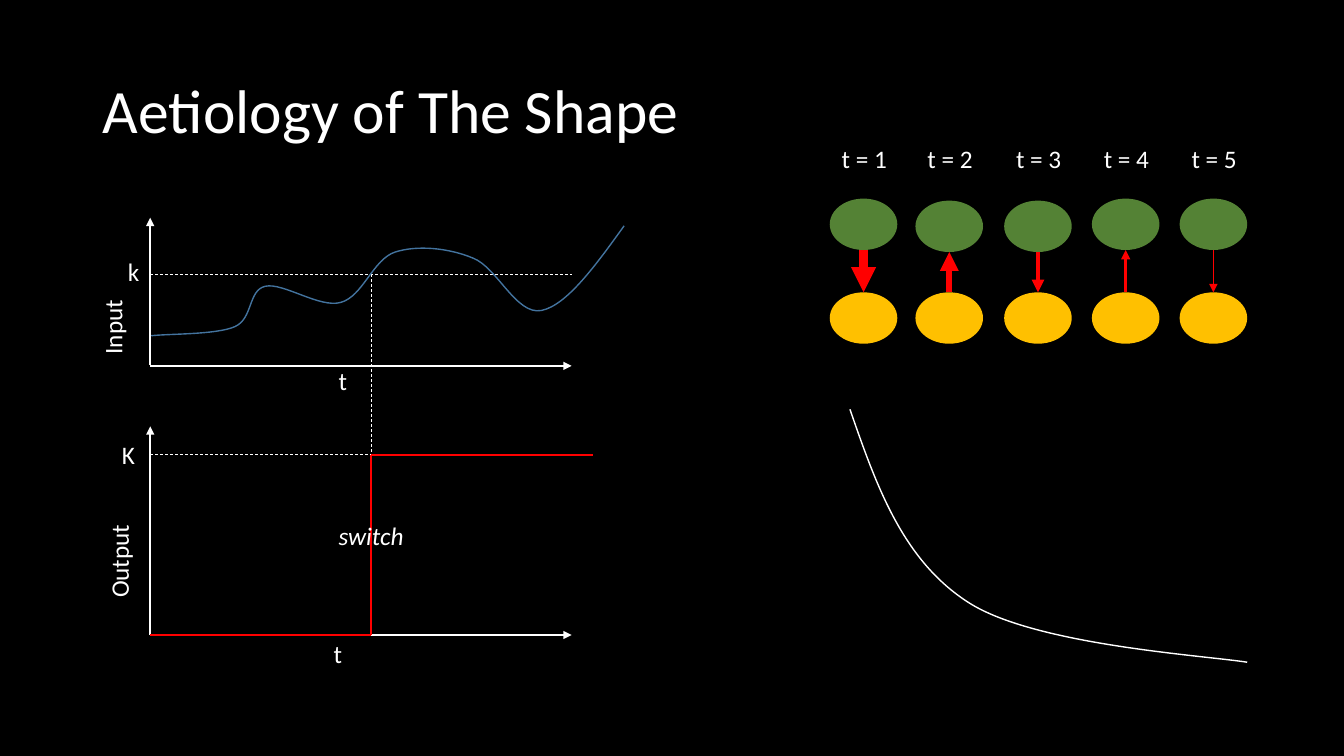
"""Build the slide on how an input signal and a switch shape the output."""
import dataclasses

import lxml.etree
import pptx
import pptx.dml.color
import pptx.enum.dml
import pptx.enum.shapes
import pptx.enum.text
import pptx.oxml.ns
import pptx.util

Inches = pptx.util.Inches
Pt = pptx.util.Pt
qn = pptx.oxml.ns.qn
Point = tuple[float, float]

WHITE, RED, BLUE = "FFFFFF", "FF0000", "43739E"
GREEN, GOLD = "548235", "FFC000"
LEFT, RIGHT, SWITCH = 1.49, 5.67, 3.68
BASE, LEVEL = 6.3, 4.51
WIDE, HIGH, LOWER = 0.67, 0.51, 2.9


@dataclasses.dataclass
class Line:
    start: Point
    end: Point
    color: str = WHITE
    width: float = 1.5
    dash: bool = False
    arrow: bool = False


@dataclasses.dataclass
class Label:
    text: str
    left: float
    top: float
    width: float
    turn: int = 0
    italic: bool = False


@dataclasses.dataclass
class Pair:
    left: float
    top: float
    weight: float


@dataclasses.dataclass
class Curve:
    color: str
    points: list[Point]


AXES = [
    Line((LEFT, 3.63), (RIGHT, 3.63), arrow=True),
    Line((LEFT, 3.62), (LEFT, 2.16), arrow=True),
    Line((LEFT, BASE), (RIGHT, BASE), arrow=True),
    Line((LEFT, BASE), (LEFT, 4.23), arrow=True),
]
GUIDES = [
    Line((LEFT, 2.72), (RIGHT, 2.72), width=0.5, dash=True),
    Line((SWITCH, 2.72), (SWITCH, BASE), width=0.5, dash=True),
    Line((LEFT, LEVEL), (RIGHT, LEVEL), width=0.5, dash=True),
]
STEPS = [
    Line((LEFT, BASE), (SWITCH, BASE), RED),
    Line((SWITCH, BASE), (SWITCH, LEVEL), RED),
    Line((SWITCH, LEVEL), (5.88, LEVEL), RED),
]
LABELS = [
    Label("t", 3.26, 3.58, 0.29),
    Label("t", 3.21, 6.28, 0.29),
    Label("Input", 0.74, 3.04, 0.75, turn=270),
    Label("Output", 0.71, 5.36, 0.94, turn=270),
    Label("K", 1.11, 4.31, 0.33),
    Label("switch", 3.26, 5.11, 0.86, italic=True),
    Label("k", 1.17, 2.49, 0.32),
]
PAIRS = [
    Pair(8.23, 1.97, 6),
    Pair(9.08, 1.99, 4.5),
    Pair(9.96, 1.99, 3),
    Pair(10.83, 1.97, 2.25),
    Pair(11.7, 1.97, 1),
]
INPUT = Curve(BLUE, [
    (1.5, 3.33),
    (1.69, 3.31), (2.15, 3.32), (2.33, 3.24),
    (2.51, 3.16), (2.46, 2.88), (2.63, 2.84),
    (2.81, 2.8), (3.17, 3.06), (3.38, 3),
    (3.6, 2.94), (3.7, 2.57), (3.92, 2.5),
    (4.14, 2.43), (4.45, 2.46), (4.69, 2.56),
    (4.93, 2.65), (5.12, 3.13), (5.37, 3.08),
    (5.62, 3.03), (5.91, 2.63), (6.19, 2.24),
])
DECAY = Curve(WHITE, [
    (8.43, 4.06),
    (8.69, 4.81), (8.95, 5.56), (9.61, 5.98),
    (10.27, 6.4), (11.92, 6.5), (12.37, 6.57),
])


def paint(color, code: str) -> None:
    color.rgb = pptx.dml.color.RGBColor.from_string(code)


def style(font, size: float) -> None:
    font.name = "Calibri"
    font.size = Pt(size)
    paint(font.color, WHITE)


def draw_line(slide, line: Line) -> None:
    ends = [Inches(n) for n in (*line.start, *line.end)]
    kind = pptx.enum.shapes.MSO_CONNECTOR.STRAIGHT
    shape = slide.shapes.add_connector(kind, *ends)
    paint(shape.line.color, line.color)
    shape.line.width = Pt(line.width)
    if line.dash:
        shape.line.dash_style = pptx.enum.dml.MSO_LINE.DASH
    props = shape.element.spPr
    if line.arrow:
        lxml.etree.SubElement(props.find(qn("a:ln")), qn("a:tailEnd"), type="triangle")
    lxml.etree.SubElement(props, qn("a:effectLst"))


def draw_label(slide, label: Label) -> None:
    place = [Inches(n) for n in (label.left, label.top, label.width, 0.4)]
    box = slide.shapes.add_textbox(*place)
    box.rotation = label.turn
    frame = box.text_frame
    frame.word_wrap = False
    frame.auto_size = pptx.enum.text.MSO_AUTO_SIZE.SHAPE_TO_FIT_TEXT
    para = frame.paragraphs[0]
    para.text = label.text
    style(para.font, 18)
    para.font.italic = label.italic


def draw_oval(slide, left: float, top: float, color: str) -> None:
    place = [Inches(n) for n in (left, top, WIDE, HIGH)]
    oval = slide.shapes.add_shape(pptx.enum.shapes.MSO_SHAPE.OVAL, *place)
    oval.shadow.inherit = False
    oval.fill.solid()
    paint(oval.fill.fore_color, color)
    oval.line.fill.background()


def draw_pair(slide, step: int, pair: Pair) -> None:
    draw_oval(slide, pair.left, pair.top, GREEN)
    draw_oval(slide, pair.left, LOWER, GOLD)
    draw_label(slide, Label(f"t = {step}", pair.left + 0.02, 1.37, 0.66))
    mid = pair.left + WIDE / 2
    ends = [(mid, pair.top + HIGH), (mid, LOWER)]
    if step % 2 == 0:
        ends.reverse()
    draw_line(slide, Line(*ends, RED, pair.weight, arrow=True))


def draw_curve(slide, curve: Curve) -> None:
    spots = [(Inches(x), Inches(y)) for x, y in curve.points]
    form = slide.shapes.build_freeform(*spots[0])
    form.add_line_segments(spots[1:], close=False)
    shape = form.convert_to_shape()
    shape.shadow.inherit = False
    shape.fill.background()
    paint(shape.line.color, curve.color)
    shape.line.width = Pt(1)
    track = next(shape.element.iter(qn("a:path")))
    legs = track.findall(qn("a:lnTo"))
    for first in range(0, len(legs), 3):
        bend = lxml.etree.SubElement(track, qn("a:cubicBezTo"))
        for leg in legs[first:first + 3]:
            bend.append(leg[0])
            track.remove(leg)


def draw_title(slide) -> None:
    title = slide.shapes.title
    title.left, title.top = Inches(0.92), Inches(0.4)
    title.width, title.height = Inches(11.5), Inches(1.45)
    title.text_frame.vertical_anchor = pptx.enum.text.MSO_ANCHOR.MIDDLE
    para = title.text_frame.paragraphs[0]
    para.text = "Aetiology of The Shape"
    para.alignment = pptx.enum.text.PP_ALIGN.LEFT
    para.line_spacing = 0.9
    style(para.font, 44)


def main() -> None:
    deck = pptx.Presentation()
    deck.slide_width, deck.slide_height = Inches(13.33), Inches(7.5)
    slide = deck.slides.add_slide(deck.slide_layouts[5])
    slide.background.fill.solid()
    paint(slide.background.fill.fore_color, "000000")
    draw_title(slide)
    for line in AXES + GUIDES + STEPS:
        draw_line(slide, line)
    for label in LABELS:
        draw_label(slide, label)
    for step, pair in enumerate(PAIRS, 1):
        draw_pair(slide, step, pair)
    for curve in (INPUT, DECAY):
        draw_curve(slide, curve)
    deck.save("out.pptx")


if __name__ == "__main__":
    main()
